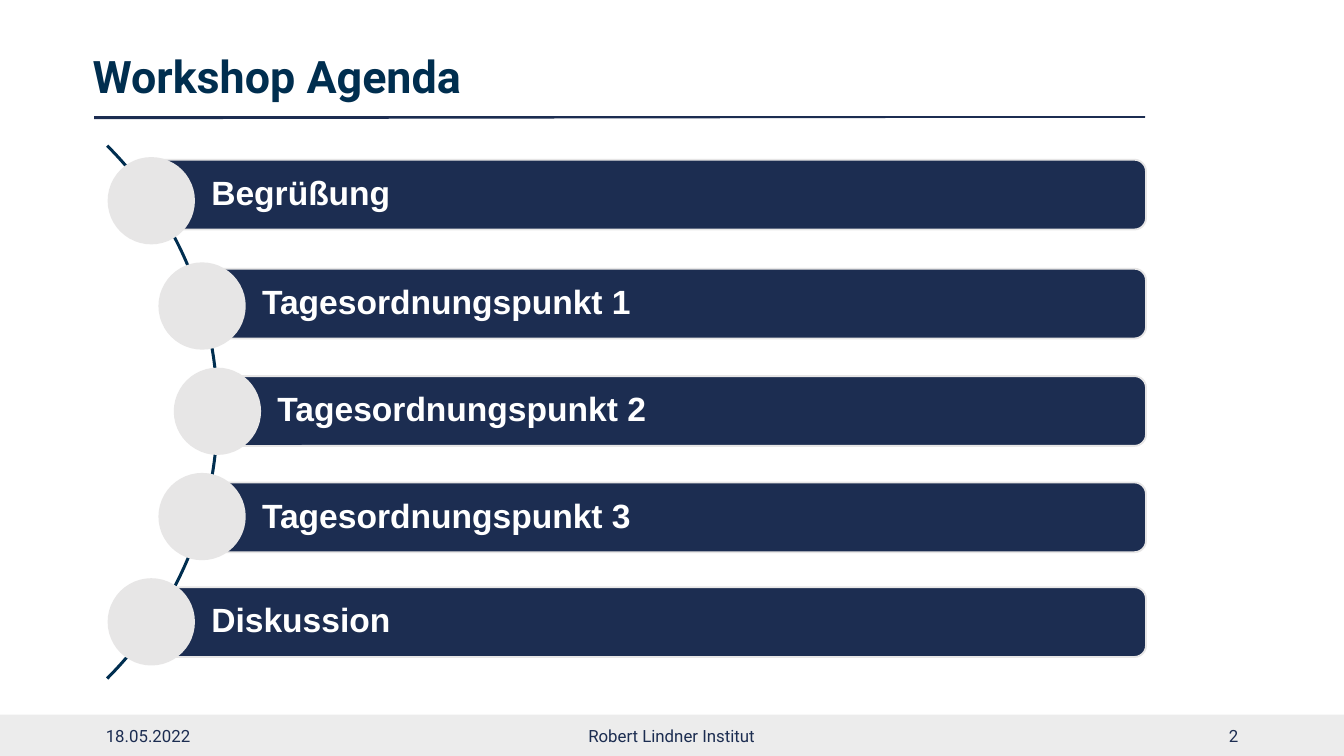
import pptx
import pptx.dml.color
import pptx.enum.shapes
import pptx.enum.text
import pptx.oxml
import pptx.util

Cm = pptx.util.Cm
SHAPE = pptx.enum.shapes.MSO_SHAPE
ALIGN = pptx.enum.text.PP_ALIGN

NAVY = "1C2D51"
PETROL = "002E50"
GREY = "E7E6E6"

BAR_RIGHT = 21.66
BAR_HEIGHT = 1.32
DOT_SIZE = 1.65
FIRST_DOT_TOP = 2.97
DOT_STEP = 1.99
AGENDA = [
    ("Begrüßung", 2.86, 3.02),
    ("Tagesordnungspunkt 1", 3.82, 5.08),
    ("Tagesordnungspunkt 2", 4.11, 7.11),
    ("Tagesordnungspunkt 3", 3.82, 9.12),
    ("Diskussion", 2.86, 11.1),
]


def color(code):
    """Return the colour for a hex string."""
    return pptx.dml.color.RGBColor.from_string(code)


def write(holder, text, size=9, font="Roboto", ink=NAVY, bold=False,
          align=ALIGN.LEFT, spacing=1.0, insets=(0.25, 0.13, 0.25, 0.13)):
    """Write formatted, vertically centred text into a shape or text box."""
    frame = holder.text_frame
    frame.word_wrap = True
    frame.vertical_anchor = pptx.enum.text.MSO_ANCHOR.MIDDLE
    (frame.margin_left, frame.margin_top,
     frame.margin_right, frame.margin_bottom) = map(Cm, insets)
    paragraph = frame.paragraphs[0]
    paragraph.alignment = align
    paragraph.line_spacing = spacing
    run = paragraph.add_run()
    run.text = text
    run.font.size = pptx.util.Pt(size)
    run.font.name = font
    run.font.bold = bold
    run.font.color.rgb = color(ink)


def add_label(slide, text, left, top, width, height, **style):
    """Add a text box."""
    write(slide.shapes.add_textbox(Cm(left), Cm(top), Cm(width), Cm(height)),
          text, **style)


def add_filled(slide, kind, left, top, width, height, fill, outline=None):
    """Add a flat preset shape, outlined only on request."""
    shape = slide.shapes.add_shape(kind, Cm(left), Cm(top), Cm(width), Cm(height))
    shape.shadow.inherit = False
    shape.fill.solid()
    shape.fill.fore_color.rgb = color(fill)
    if outline:
        shape.line.color.rgb = color(outline)
        shape.line.width = pptx.util.Pt(1)
    else:
        shape.line.fill.background()
    return shape


def add_rule(slide, left, start, right, end):
    """Add a thin line without shadow."""
    rule = slide.shapes.add_connector(
        pptx.enum.shapes.MSO_CONNECTOR.STRAIGHT,
        Cm(left), Cm(start), Cm(right), Cm(end))
    rule.line.color.rgb = color(NAVY)
    rule.line.width = pptx.util.Pt(0.75)
    rule._element.spPr.append(pptx.oxml.parse_xml(
        '<a:effectLst xmlns:a="http://schemas.openxmlformats.org/drawingml/2006/main"/>'))


def add_header(slide):
    """Add the title and the double line below it."""
    for start in (2.24, 2.21):
        add_rule(slide, 1.78, start, 21.64, 2.21)
    add_label(slide, "Workshop Agenda", 1.75, 0.76, 21.95, 1.45, size=24,
              ink="002E4F", bold=True, spacing=0.9, insets=(0, 0.13, 0.25, 0.13))


def add_footer(slide):
    """Add the footer band with date, institute and page number."""
    top, height = 13.51, 0.78
    add_filled(slide, SHAPE.RECTANGLE, 0, top, 25.4, height, "ECECEC")
    for text, left, width, align in (
            ("18.05.2022", 1.75, 5.72, ALIGN.LEFT),
            ("Robert Lindner Institut", 8.41, 8.56, ALIGN.CENTER),
            ("2", 17.93, 5.72, ALIGN.RIGHT)):
        add_label(slide, text, left, top, width, height, align=align)


def add_agenda(slide):
    """Add the arc and its agenda items."""
    arc = add_filled(slide, SHAPE.BLOCK_ARC, -10.16, 0.64, 14.3, 14.3, PETROL)
    for index, value in enumerate((189, 27, 0.004)):
        arc.adjustments[index] = value
    for index, (topic, center, top) in enumerate(AGENDA):
        bar = add_filled(slide, SHAPE.ROUNDED_RECTANGLE, center, top,
                         BAR_RIGHT - center, BAR_HEIGHT, NAVY, GREY)
        write(bar, topic, size=18, font="Arial", ink="FFFFFF", bold=True,
              spacing=0.9, insets=(1.07, 0.13, 0.13, 0.13))
        add_filled(slide, SHAPE.OVAL, center - DOT_SIZE / 2,
                   FIRST_DOT_TOP + index * DOT_STEP, DOT_SIZE, DOT_SIZE, GREY)


def main():
    """Build and save the agenda slide."""
    deck = pptx.Presentation()
    deck.slide_width = Cm(25.4)
    deck.slide_height = Cm(14.29)
    slide = deck.slides.add_slide(deck.slide_layouts[6])
    add_footer(slide)
    add_header(slide)
    add_agenda(slide)
    deck.save("out.pptx")


if __name__ == "__main__":
    main()
